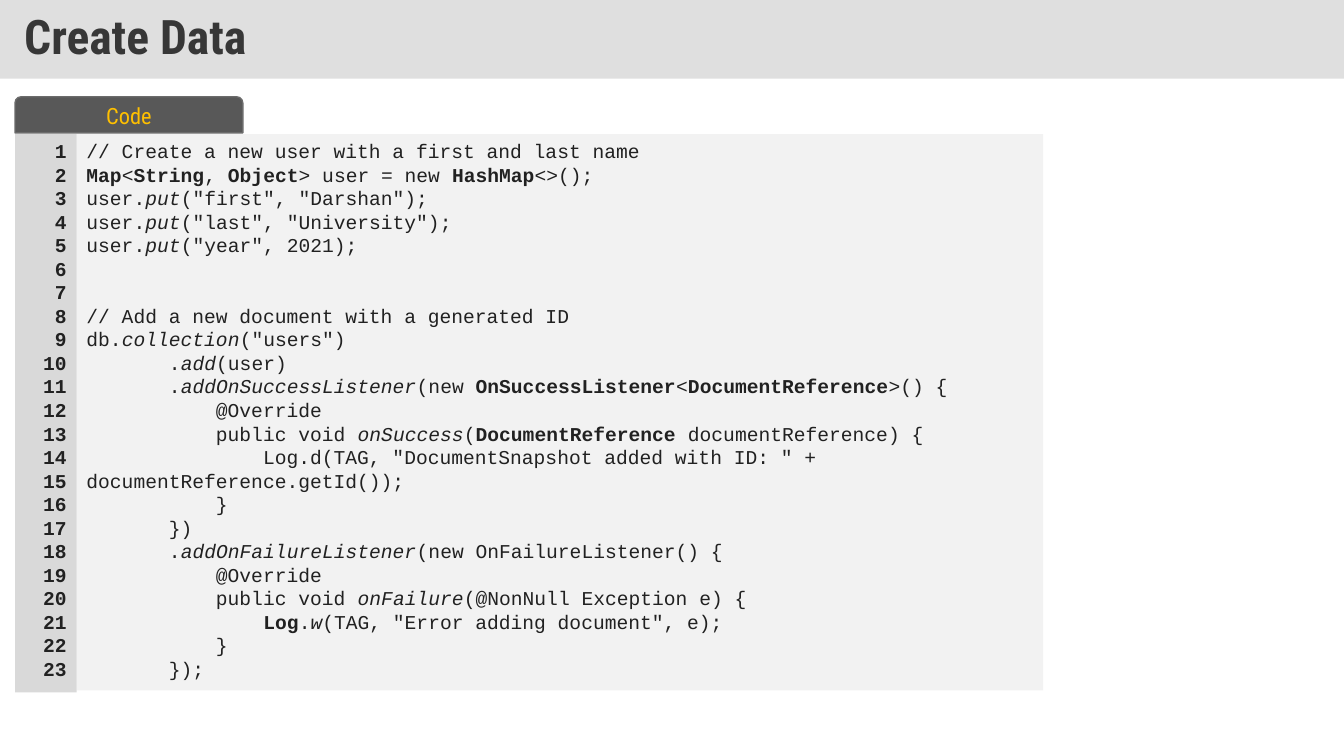
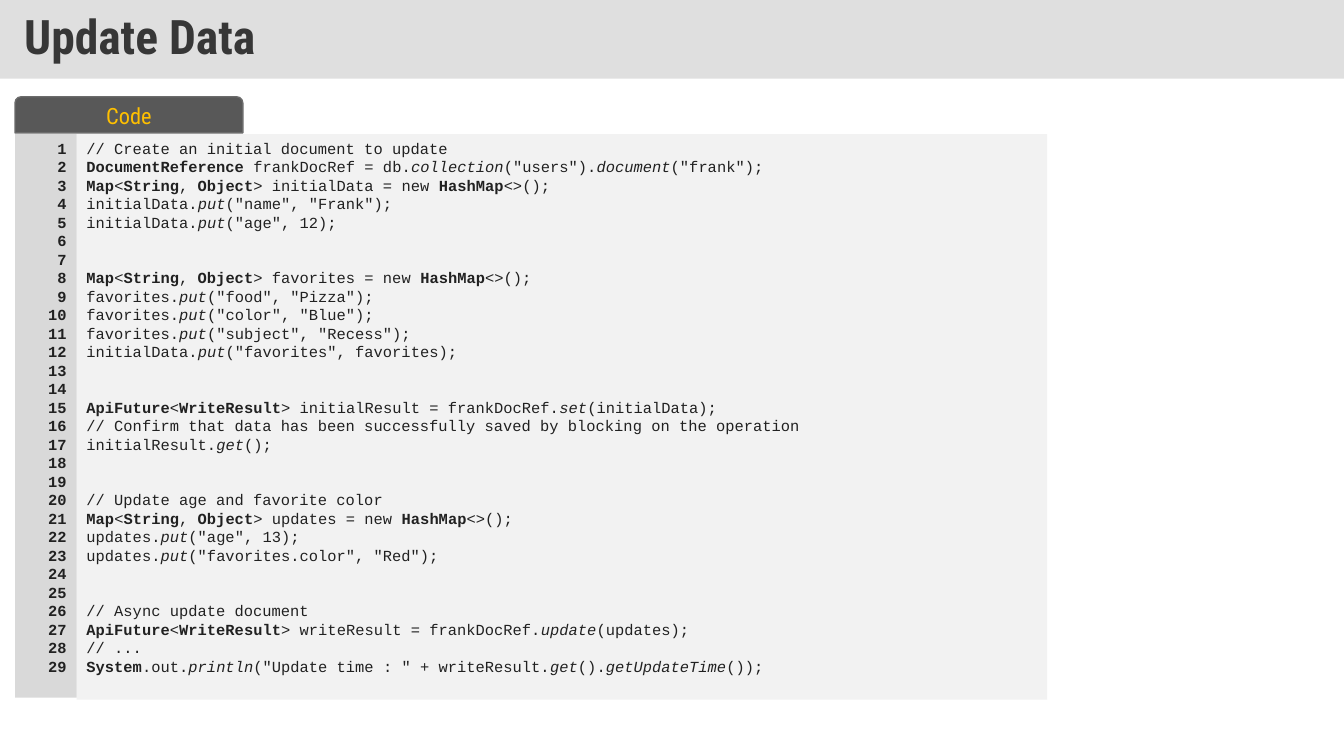
from lxml import etree
from pptx import Presentation
from pptx.dml.color import RGBColor
from pptx.enum.shapes import MSO_SHAPE
from pptx.enum.text import MSO_ANCHOR, PP_ALIGN
from pptx.oxml.ns import qn
from pptx.util import Cm, Pt

RECT, TAB = MSO_SHAPE.RECTANGLE, MSO_SHAPE.ROUND_2_SAME_RECTANGLE
TOP, MIDDLE = MSO_ANCHOR.TOP, MSO_ANCHOR.MIDDLE
LEFT, CENTER, RIGHT = PP_ALIGN.LEFT, PP_ALIGN.CENTER, PP_ALIGN.RIGHT
TITLE_ONLY = 5

CREATE_CODE = [
    [
        '// Create a new user with a first and last name',
        '*Map*<*String*, *Object*> user = new *HashMap*<>();',
        'user.~put~("first", "Darshan");',
        'user.~put~("last", "University");',
        'user.~put~("year", 2021);',
    ],
    [
        '// Add a new document with a generated ID',
        'db.~collection~("users")',
        '       .~add~(user)',
        '       .~addOnSuccessListener~(new *OnSuccessListener*<*DocumentReference*>() {',
        '           @Override',
        '           public void ~onSuccess~(*DocumentReference* documentReference) {',
        '               Log.d(TAG, "DocumentSnapshot added with ID: " + documentReference.getId());',
        '           }',
        '       })',
        '       .~addOnFailureListener~(new OnFailureListener() {',
        '           @Override',
        '           public void ~onFailure~(@NonNull Exception e) {',
        '               *Log*.~w~(TAG, "Error adding document", e);',
        '           }',
        '       });',
    ],
]

UPDATE_CODE = [
    [
        '// Create an initial document to update',
        '*DocumentReference* frankDocRef = db.~collection~("users").~document~("frank");',
        '*Map*<*String*, *Object*> initialData = new *HashMap*<>();',
        'initialData.~put~("name", "Frank");',
        'initialData.~put~("age", 12);',
    ],
    [
        '*Map*<*String*, *Object*> favorites = new *HashMap*<>();',
        'favorites.~put~("food", "Pizza");',
        'favorites.~put~("color", "Blue");',
        'favorites.~put~("subject", "Recess");',
        'initialData.~put~("favorites", favorites);',
    ],
    [
        '*ApiFuture*<*WriteResult*> initialResult = frankDocRef.~set~(initialData);',
        '// Confirm that data has been successfully saved by blocking on the operation',
        'initialResult.~get~();',
    ],
    [
        '// Update age and favorite color',
        '*Map*<*String*, *Object*> updates = new *HashMap*<>();',
        'updates.~put~("age", 13);',
        'updates.~put~("favorites.color", "Red");',
    ],
    [
        '// Async update document',
        '*ApiFuture*<*WriteResult*> writeResult = frankDocRef.~update~(updates);',
        '// ...',
        '*System*.out.~println~("Update time : " + writeResult.~get~().~getUpdateTime~());',
    ],
]


def rgb(value):
    return RGBColor.from_string(value)


class CodeDeck:
    """Builds code slides; in code, *x* is bold and ~x~ is italic."""

    HEADING_FONT, CODE_FONT = "Roboto Condensed", "Courier New"
    BAND, TITLE_INK = "C0C0C0", "373737"
    TAB_FILL, TAB_LINE, TAB_INK = "585858", "6B6B6B", "FFC000"
    CODE_FILL, NUMBER_FILL, CODE_INK = "F2F2F2", "D9D9D9", "212121"
    MARGIN, CODE_TOP, NUMBER_WIDTH = Cm(0.38), Cm(3.38), Cm(1.55)
    LINE_PITCH, BLOCK_GAP = 1.2, 2

    def __init__(self):
        self.prs = Presentation()
        self.prs.slide_width, self.prs.slide_height = Cm(33.87), Cm(19.05)
        self.slide = None

    def font(self, p, name, size, color, bold=False):
        p.font.name, p.font.size, p.font.bold = name, Pt(size), bold
        p.font.color.rgb = rgb(color)

    def new_slide(self, title):
        self.slide = self.prs.slides.add_slide(self.prs.slide_layouts[TITLE_ONLY])
        sp = self.slide.shapes.title
        sp.left, sp.top, sp.width, sp.height = 0, 0, self.prs.slide_width, Cm(1.98)
        sp.fill.solid()
        sp.fill.fore_color.rgb = rgb(self.BAND)
        color = next(sp.element.spPr.iter(qn("a:srgbClr")))
        etree.SubElement(color, qn("a:alpha")).set("val", "50000")
        tf = sp.text_frame
        tf.text = title
        tf.vertical_anchor = MIDDLE
        tf.margin_left = tf.margin_right = Cm(0.61)
        tf.margin_top = tf.margin_bottom = Cm(0.3)
        p = tf.paragraphs[0]
        p.alignment, p.line_spacing = LEFT, 0.9
        self.font(p, self.HEADING_FONT, 34, self.TITLE_INK, True)

    def box(self, kind, left, top, width, height, fill, line=None, anchor=TOP):
        sp = self.slide.shapes.add_shape(kind, left, top, width, height)
        sp.shadow.inherit = False
        sp.fill.solid()
        sp.fill.fore_color.rgb = rgb(fill)
        if line:
            sp.line.color.rgb = rgb(line)
            sp.line.width = Pt(1)
        else:
            sp.line.fill.background()
        tf = sp.text_frame
        tf.word_wrap = True
        tf.vertical_anchor = anchor
        return tf

    def tab(self, text):
        tf = self.box(TAB, self.MARGIN, Cm(2.44), Cm(5.74), Cm(0.91),
                      self.TAB_FILL, self.TAB_LINE, MIDDLE)
        tf.text = text
        p = tf.paragraphs[0]
        p.alignment = CENTER
        self.font(p, self.HEADING_FONT, 16, self.TAB_INK)

    def code_line(self, p, size, align, bold=False):
        p.alignment = align
        p.line_spacing = Pt(size * self.LINE_PITCH)
        self.font(p, self.CODE_FONT, size, self.CODE_INK, bold)

    def code_runs(self, p, line):
        for i, part in enumerate(line.split("*")):
            for j, text in enumerate(part.split("~")):
                if text:
                    r = p.add_run()
                    r.text = text
                    if i % 2:
                        r.font.bold = True
                    if j % 2:
                        r.font.italic = True

    def code(self, blocks, size, width, height):
        tf = self.box(RECT, self.MARGIN + self.NUMBER_WIDTH, self.CODE_TOP,
                      width, height, self.CODE_FILL)
        p = tf.paragraphs[0]
        for b, block in enumerate(blocks):
            for n, line in enumerate(block):
                if b or n:
                    p = tf.add_paragraph()
                self.code_line(p, size, LEFT)
                if b and not n:
                    p.space_before = Pt(self.BLOCK_GAP * size * self.LINE_PITCH)
                self.code_runs(p, line)

    def numbers(self, count, size, height):
        tf = self.box(RECT, self.MARGIN, self.CODE_TOP, self.NUMBER_WIDTH, height,
                      self.NUMBER_FILL)
        tf.text = "\n".join(str(n) for n in range(1, count + 1))
        for p in tf.paragraphs:
            self.code_line(p, size, RIGHT, True)


def main():
    deck = CodeDeck()
    for title, blocks, size, count, width, height, number_height in (
        ("Create Data", CREATE_CODE, 14, 23, 24.36, 14.02, 14.07),
        ("Update Data", UPDATE_CODE, 11, 29, 24.46, 14.25, 14.2),
    ):
        deck.new_slide(title)
        deck.tab("Code")
        deck.code(blocks, size, Cm(width), Cm(height))
        deck.numbers(count, size, Cm(number_height))
    deck.prs.save("out.pptx")


if __name__ == "__main__":
    main()
